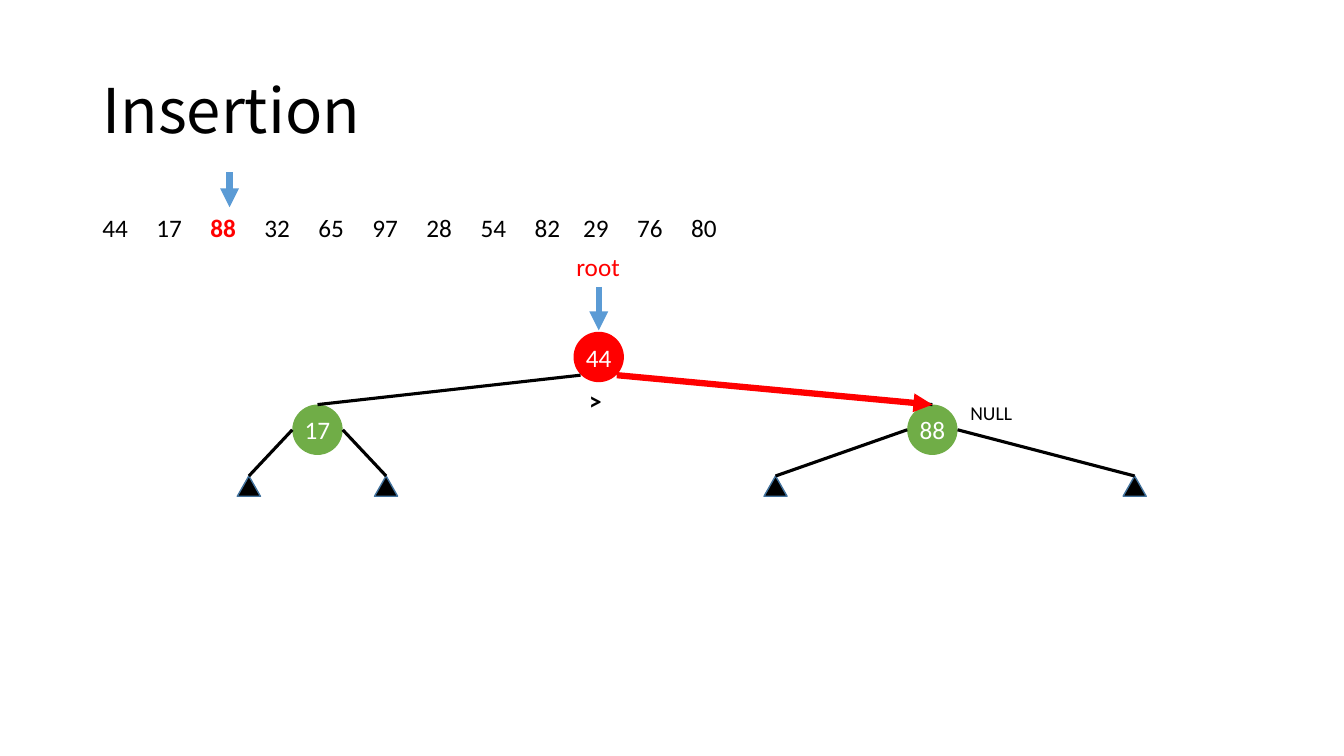
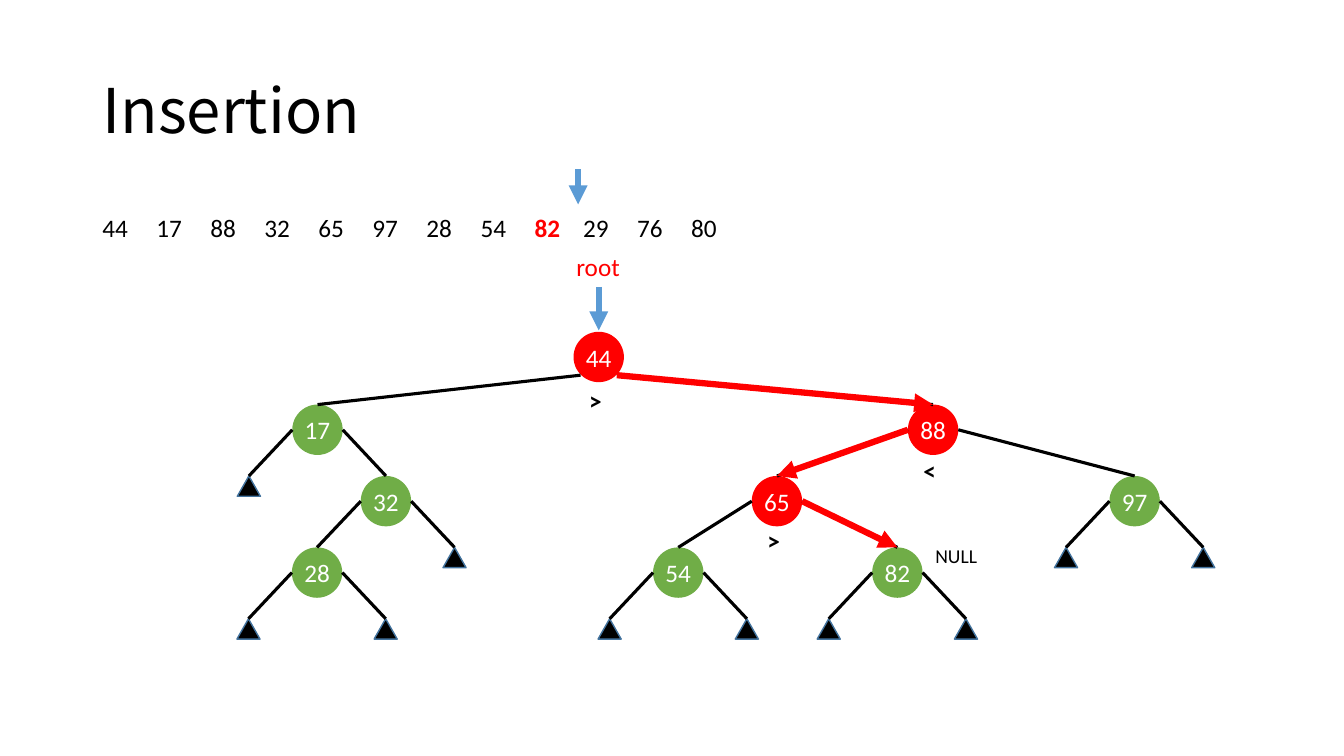
from dataclasses import dataclass
from typing import Optional

from lxml import etree
from pptx import Presentation
from pptx.dml.color import RGBColor
from pptx.enum import shapes, text
from pptx.oxml import ns
from pptx.util import Pt

BLACK = RGBColor(0x00, 0x00, 0x00)
WHITE = RGBColor(0xFF, 0xFF, 0xFF)
RED = RGBColor(0xFF, 0x00, 0x00)
GREEN = RGBColor(0x70, 0xAD, 0x47)
BLUE = RGBColor(0x5B, 0x9B, 0xD5)
LEAF_BORDER = RGBColor(0x43, 0x73, 0x9E)

BODY_FONT = "Calibri"
TITLE_FONT = "Noto Sans CJK SC"

KEYS = [44, 17, 88, 32, 65, 97, 28, 54, 82, 29, 76, 80]
KEY_PITCH = 38.6
LEVEL_TOPS = [237, 289, 340, 391, 442]
NODE_SIZE = 36
LEAF_WIDTH, LEAF_HEIGHT = 16.5, 14.5
LEAF_OFFSET = 49


@dataclass
class Node:
    x: float
    value: Optional[int] = None
    left: Optional["Node"] = None
    right: Optional["Node"] = None

    def children(self):
        if self.value is None:
            return []
        return [(-1, self.left or Node(self.x - LEAF_OFFSET)),
                (1, self.right or Node(self.x + LEAF_OFFSET))]


def add_text(paragraph, content, *, size=18, color=BLACK, bold=False, font=BODY_FONT):
    run = paragraph.add_run()
    run.text = content
    run.font.name = font
    run.font.size = Pt(size)
    run.font.bold = bold
    run.font.color.rgb = color


class Deck:
    def __init__(self):
        self.presentation = Presentation()
        self.presentation.slide_width = Pt(960)
        self.presentation.slide_height = Pt(540)
        self.slide = None

    def start_slide(self, title):
        layout = self.presentation.slide_layouts[5]
        self.slide = self.presentation.slides.add_slide(layout)
        shape = self.slide.shapes.title
        shape.left, shape.top, shape.width, shape.height = Pt(66), Pt(29), Pt(828), Pt(104.4)
        shape.text_frame.vertical_anchor = text.MSO_ANCHOR.MIDDLE
        paragraph = shape.text_frame.paragraphs[0]
        paragraph.alignment = text.PP_ALIGN.LEFT
        paragraph.line_spacing = 0.9
        add_text(paragraph, title, size=44, font=TITLE_FONT)

    def text_box(self, left, top, width, height=29):
        box = self.slide.shapes.add_textbox(Pt(left), Pt(top), Pt(width), Pt(height))
        box.text_frame.word_wrap = True
        return box.text_frame.paragraphs[0]

    def label(self, content, left, top, width, align=text.PP_ALIGN.LEFT, **style):
        paragraph = self.text_box(left, top, width)
        paragraph.alignment = align
        add_text(paragraph, content, **style)

    def line(self, start, end, color=BLACK, weight=2.25, arrow=False, target=None):
        points = [Pt(value) for value in (*start, *end)]
        connector = self.slide.shapes.add_connector(shapes.MSO_CONNECTOR.STRAIGHT, *points)
        if target is not None:
            connector.end_connect(target, 0)
        connector.line.color.rgb = color
        connector.line.width = Pt(weight)
        if arrow:
            outline = connector.line._get_or_add_ln()
            etree.SubElement(outline, ns.qn("a:tailEnd"), type="triangle")
        etree.SubElement(connector._element.spPr, ns.qn("a:effectLst"))

    def pointer(self, x, top, length):
        self.line((x, top), (x, top + length), BLUE, 4.5, arrow=True)

    def shape(self, kind, x, top, width, height, fill):
        shape = self.slide.shapes.add_shape(
            kind, Pt(x - width / 2), Pt(top), Pt(width), Pt(height))
        shape.shadow.inherit = False
        shape.fill.solid()
        shape.fill.fore_color.rgb = fill
        return shape

    def leaf(self, x, top):
        triangle = self.shape(shapes.MSO_SHAPE.ISOSCELES_TRIANGLE,
                              x, top, LEAF_WIDTH, LEAF_HEIGHT, BLACK)
        triangle.line.color.rgb = LEAF_BORDER
        triangle.line.width = Pt(1)
        return triangle

    def circle(self, value, x, top, fill):
        circle = self.shape(shapes.MSO_SHAPE.OVAL, x, top, NODE_SIZE, NODE_SIZE, fill)
        circle.line.fill.background()
        frame = circle.text_frame
        frame.margin_left = frame.margin_right = frame.margin_top = frame.margin_bottom = 0
        frame.word_wrap = False
        frame.vertical_anchor = text.MSO_ANCHOR.MIDDLE
        paragraph = frame.paragraphs[0]
        paragraph.alignment = text.PP_ALIGN.CENTER
        add_text(paragraph, str(value), color=WHITE)
        return circle

    def sequence(self, current):
        paragraph = self.text_box(66, 148, 490)
        tabs = etree.SubElement(paragraph._p.get_or_add_pPr(), ns.qn("a:tabLst"))
        for index in range(1, len(KEYS)):
            position = KEY_PITCH * index - (4 if index >= 9 else 0)
            etree.SubElement(tabs, ns.qn("a:tab"), pos=str(int(Pt(position))), algn="l")
        for index, key in enumerate(KEYS):
            chosen = key == current
            add_text(paragraph, ("\t" if index else "") + str(key),
                     color=RED if chosen else BLACK, bold=chosen)

    def tree(self, node, path, level=0):
        top = LEVEL_TOPS[level]
        if node.value is None:
            return self.leaf(node.x, top)
        key = path[-1]
        compared = node.value in path[:-1]
        circle = self.circle(node.value, node.x, top, RED if compared else GREEN)
        reach, drop = (13, 13) if level == 0 else (NODE_SIZE / 2, 0)
        for side, child in node.children():
            target = self.tree(child, path, level + 1)
            start = (node.x + side * reach, top + NODE_SIZE / 2 + drop)
            end = (child.x, LEVEL_TOPS[level + 1])
            self.line(start, end, target=target)
            if child.value in path:
                self.line(start, end, RED, 4.5, arrow=True, target=target)
        if compared:
            sign = ">" if key > node.value else "<"
            self.label(sign, node.x - 14, 271.5 + 50 * level, 27, bold=True)
        if node.value == key:
            self.label("NULL", node.x + 20, top - 6, 60, size=14)
        return circle

    def insertion(self, root, path, pointer_x, pointer_top):
        self.start_slide("Insertion")
        self.sequence(path[-1])
        self.pointer(pointer_x, pointer_top, 25)
        self.label("root", root.x - 30.5, 175.7, 60, text.PP_ALIGN.CENTER, color=RED)
        self.pointer(root.x, 205, 31)
        self.tree(root, path)


def main():
    deck = Deck()
    small_tree = Node(427.7, 44,
                      Node(226.8, 17),
                      Node(666, 88, Node(554), Node(810.5)))
    deck.insertion(small_tree, [44, 88], 164, 123)

    large_tree = Node(427.7, 44,
                      Node(226.8, 17, right=Node(275.7, 32, Node(226.5, 28))),
                      Node(666.5, 88,
                           Node(555, 65, Node(484.5, 54), Node(641, 82)),
                           Node(810.5, 97)))
    deck.insertion(large_tree, [44, 88, 65, 82], 413, 121)
    deck.presentation.save("out.pptx")


if __name__ == "__main__":
    main()
